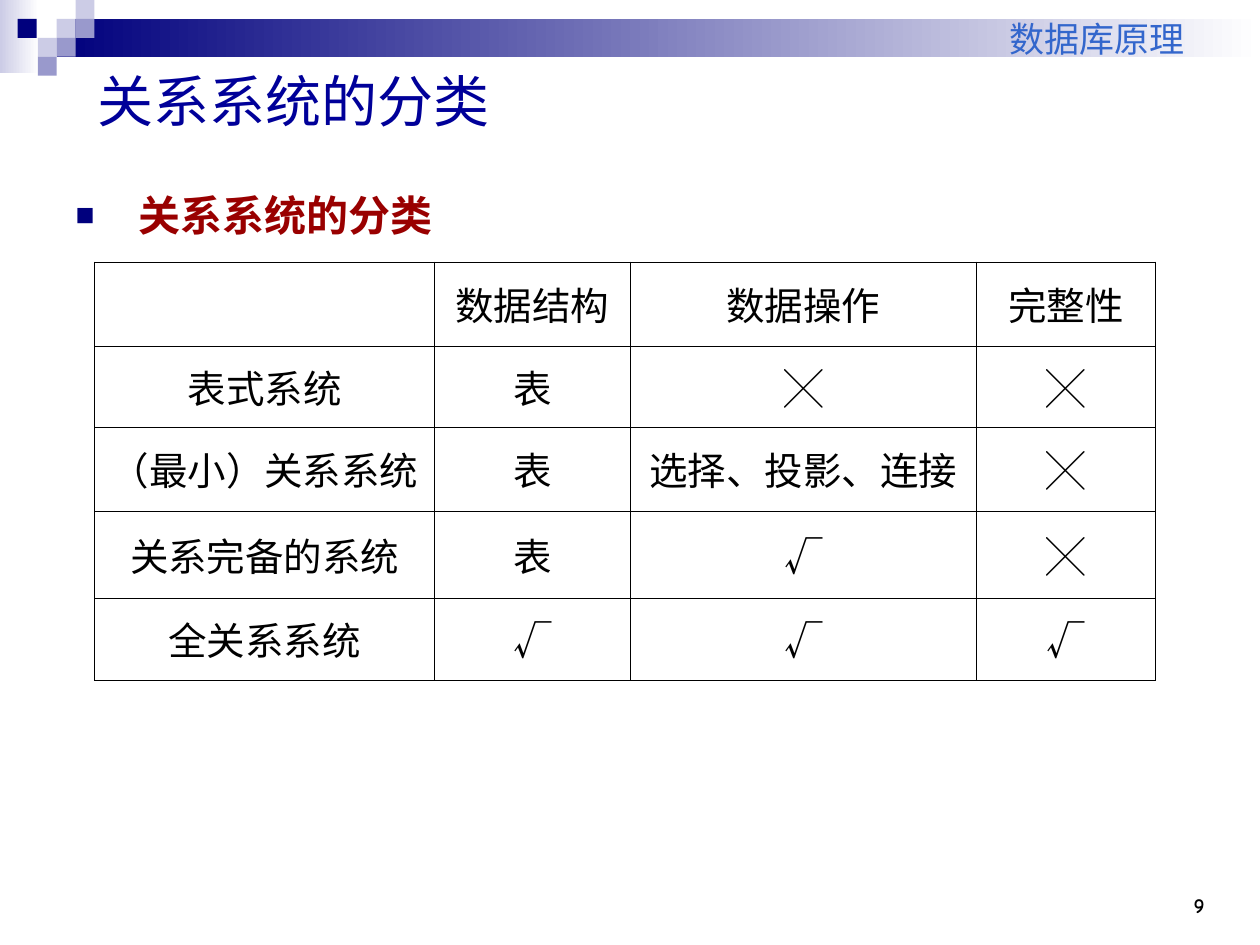
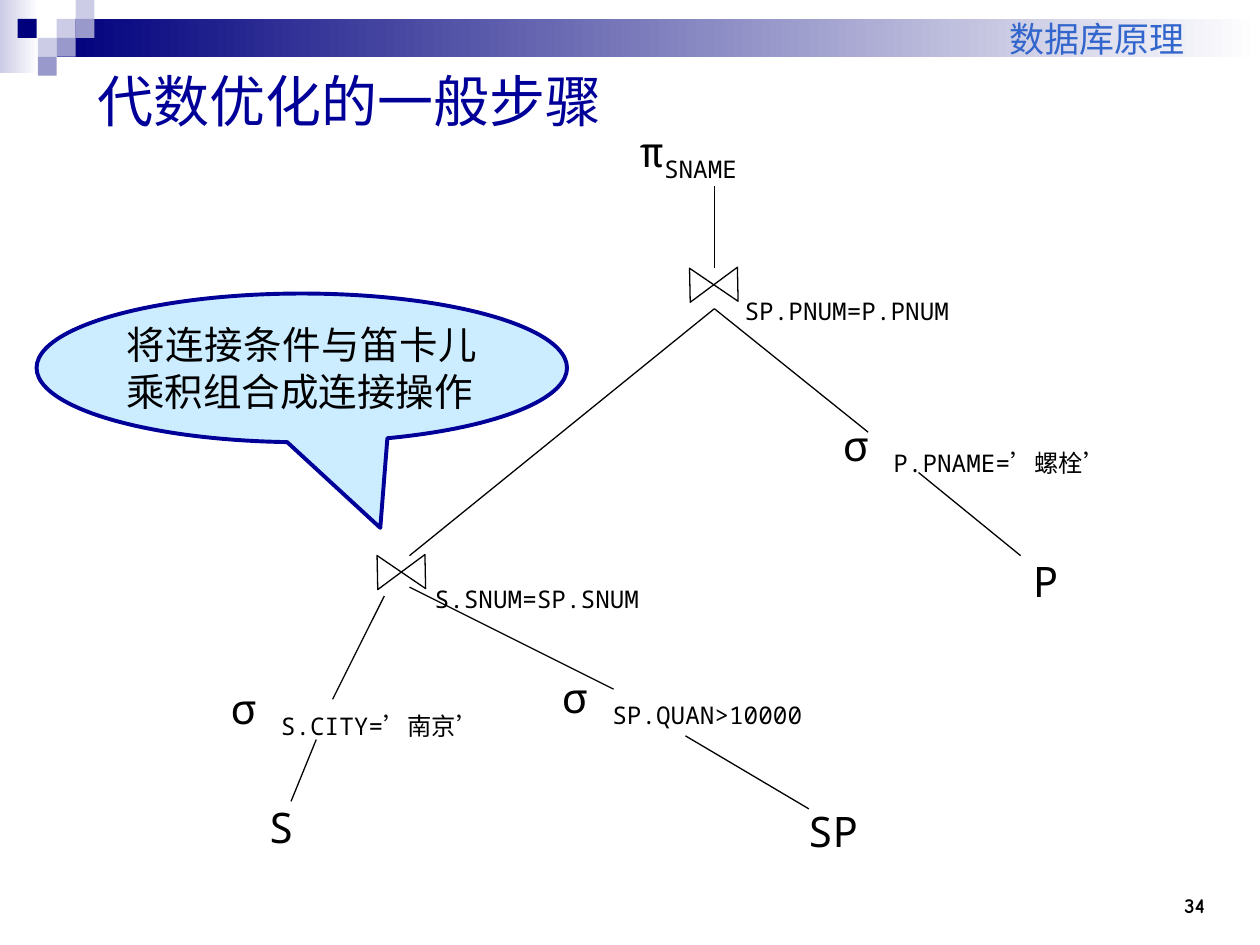
import dataclasses

import lxml.etree
import pptx
import pptx.dml.color
import pptx.enum.shapes
import pptx.enum.text
import pptx.oxml.ns
import pptx.util

Inches = pptx.util.Inches
Pt = pptx.util.Pt
qn = pptx.oxml.ns.qn
Align = pptx.enum.text.PP_ALIGN
Anchor = pptx.enum.text.MSO_ANCHOR
Preset = pptx.enum.shapes.MSO_SHAPE

# Shared colours and fonts
BLACK, WHITE = "000000", "FFFFFF"
NAVY, LILAC, VIOLET = "00007D", "CCCCE6", "9999CC"
TITLE_BLUE, COURSE_BLUE, HEADING_RED, CALLOUT_BLUE = "000099", "3366CC", "990000", "CCECFF"
DECK_FONT, CJK_FONT, ALGEBRA_FONT, CALLOUT_FONT = (
    "Comic Neue", "Noto Sans CJK SC", "Noto Sans Mono", "Times New Roman")


@dataclasses.dataclass(frozen=True)
class Box:
    left: float
    top: float
    width: float
    height: float

    def lengths(self) -> list:
        return [Inches(n) for n in dataclasses.astuple(self)]


@dataclasses.dataclass(frozen=True)
class Pixel:
    left: float
    top: float
    color: str


@dataclasses.dataclass(frozen=True)
class Label:
    """An algebra node: an operator or relation followed by a subscript."""
    box: Box
    symbol: str
    subscript: str = ""
    align: Align = Align.JUSTIFY


@dataclasses.dataclass(frozen=True)
class Edge:
    x1: float
    y1: float
    x2: float
    y2: float


PIXELS = [
    Pixel(0.45, 0.15, LILAC), Pixel(0.6, 0, LILAC), Pixel(0.6, 0.15, VIOLET),
    Pixel(0.3, 0.3, LILAC), Pixel(0.14, 0.15, NAVY), Pixel(0.45, 0.3, VIOLET),
    Pixel(0.3, 0.45, VIOLET),
]


# Formatting helpers
def rgb(color: str) -> pptx.dml.color.RGBColor:
    return pptx.dml.color.RGBColor.from_string(color)


def add_run(paragraph, text: str, *, size: float, font: str = DECK_FONT,
            color: str = BLACK, bold: bool = False, baseline: int = 0) -> None:
    run = paragraph.add_run()
    run.text = text
    run.font.size = Pt(size)
    run.font.bold = bold
    run.font.color.rgb = rgb(color)
    run.font.name = font
    properties = run._r.get_or_add_rPr()
    lxml.etree.SubElement(properties, qn("a:ea"), typeface=CJK_FONT)
    if baseline:
        properties.set("baseline", str(baseline * 1000))


def set_frame(frame, *, anchor: Anchor = Anchor.TOP, sides: float = 0.1,
              ends: float = 0.05) -> None:
    frame.word_wrap = True
    frame.auto_size = pptx.enum.text.MSO_AUTO_SIZE.NONE
    frame.vertical_anchor = anchor
    frame.margin_left = frame.margin_right = Inches(sides)
    frame.margin_top = frame.margin_bottom = Inches(ends)


def place(shape, box: Box) -> None:
    shape.left, shape.top, shape.width, shape.height = box.lengths()


def add_filled(slide, preset: Preset, box: Box, *colors: str,
               line: str = "", weight: float = 0.75):
    """Draw a preset shape; two colours make a left-to-right gradient."""
    shape = slide.shapes.add_shape(preset, *box.lengths())
    shape.shadow.inherit = False
    if len(colors) > 1:
        shape.fill.gradient()
        shape.fill.gradient_angle = 0
        for stop, color in zip(shape.fill.gradient_stops, colors):
            stop.color.rgb = rgb(color)
    else:
        shape.fill.solid()
        shape.fill.fore_color.rgb = rgb(colors[0])
    if line:
        shape.line.color.rgb = rgb(line)
        shape.line.width = Pt(weight)
    else:
        shape.line.fill.background()
    return shape


# What every slide shares
def start_slide(deck, layout: int, title: str, number: int):
    slide = deck.slides.add_slide(deck.slide_layouts[layout])
    add_filled(slide, Preset.RECTANGLE, Box(0, 0, 0.31, 0.58), LILAC, WHITE)
    add_filled(slide, Preset.RECTANGLE, Box(0.45, 0.15, 9.55, 0.3), NAVY, WHITE)
    for pixel in PIXELS:
        add_filled(slide, Preset.RECTANGLE,
                   Box(pixel.left, pixel.top, 0.15, 0.15), pixel.color)

    page = slide.shapes.add_textbox(*Box(8.83, 6.83, 0.83, 0.5).lengths())
    course = slide.shapes.add_textbox(*Box(3.83, 0, 5.92, 0.52).lengths())
    for note in (page, course):
        set_frame(note.text_frame, anchor=Anchor.BOTTOM)
        note.text_frame.paragraphs[0].alignment = Align.RIGHT
    course.text_frame.margin_right = Inches(0.35)
    add_run(page.text_frame.paragraphs[0], str(number), size=12, bold=True)
    add_run(course.text_frame.paragraphs[0], "数据库原理", size=20, color=COURSE_BLUE)

    heading = slide.shapes.title
    place(heading, Box(0.67, 0.42, 9, 0.75))
    set_frame(heading.text_frame, anchor=Anchor.MIDDLE)
    heading.text_frame.paragraphs[0].alignment = Align.LEFT
    add_run(heading.text_frame.paragraphs[0], title, size=32, color=TITLE_BLUE)
    return slide


# Slide with the classification table
def add_bullet(paragraph, char: str, color: str, percent: int, indent: float) -> None:
    properties = paragraph._p.get_or_add_pPr()
    properties.set("marL", str(Inches(indent)))
    properties.set("indent", str(-Inches(indent)))
    bullet_color = lxml.etree.SubElement(properties, qn("a:buClr"))
    lxml.etree.SubElement(bullet_color, qn("a:srgbClr"), val=color)
    lxml.etree.SubElement(properties, qn("a:buSzPct"), val=str(percent * 1000))
    lxml.etree.SubElement(properties, qn("a:buChar"), char=char)


def set_borders(cell, color: str, weight: float) -> None:
    properties = cell._tc.get_or_add_tcPr()
    for side in ("a:lnL", "a:lnR", "a:lnT", "a:lnB"):
        border = lxml.etree.SubElement(properties, qn(side), w=str(Pt(weight)))
        fill = lxml.etree.SubElement(border, qn("a:solidFill"))
        lxml.etree.SubElement(fill, qn("a:srgbClr"), val=color)


def add_classification(slide) -> None:
    rows = [
        ["", "数据结构", "数据操作", "完整性"],
        ["表式系统", "表", "╳", "╳"],
        ["（最小）关系系统", "表", "选择、投影、连接", "╳"],
        ["关系完备的系统", "表", "√", "╳"],
        ["全关系系统", "√", "√", "√"],
    ]
    widths = [2.7, 1.55, 2.75, 1.42]
    heights = [0.67, 0.64, 0.67, 0.69, 0.65]
    box = Box(0.75, 2.08, sum(widths), sum(heights))
    table = slide.shapes.add_table(len(rows), len(widths), *box.lengths()).table
    table.first_row = table.horz_banding = False
    for column, width in zip(table.columns, widths):
        column.width = Inches(width)
    for row, height, texts in zip(table.rows, heights, rows):
        row.height = Inches(height)
        for cell, text in zip(row.cells, texts):
            set_borders(cell, BLACK, 0.45)
            cell.fill.background()
            cell.vertical_anchor = Anchor.MIDDLE
            paragraph = cell.text_frame.paragraphs[0]
            paragraph.alignment = Align.CENTER
            if text:
                add_run(paragraph, text, size=22, font=CJK_FONT)


def build_classification_slide(deck) -> None:
    slide = start_slide(deck, 1, "关系系统的分类", 9)
    body = slide.placeholders[1]
    place(body, Box(0.5, 1.17, 9.17, 5.83))
    set_frame(body.text_frame)
    body.text_frame.margin_top = Inches(0.13)
    topic = body.text_frame.paragraphs[0]
    add_bullet(topic, "■", NAVY, 75, 0.5)
    topic.line_spacing = 1.5
    topic.space_before = Pt(0)
    add_run(topic, "关系系统的分类", size=24, color=HEADING_RED, bold=True)
    add_classification(slide)


# Slide with the query tree
def add_label(slide, label: Label) -> None:
    frame = slide.shapes.add_textbox(*label.box.lengths()).text_frame
    set_frame(frame, sides=0, ends=0)
    paragraph = frame.paragraphs[0]
    paragraph.alignment = label.align
    for text, baseline in ((label.symbol, 0), (label.subscript, -25)):
        if text:
            add_run(paragraph, text, size=24, font=ALGEBRA_FONT, baseline=baseline)


def add_edge(slide, edge: Edge) -> None:
    ends = [Inches(n) for n in dataclasses.astuple(edge)]
    line = slide.shapes.add_connector(pptx.enum.shapes.MSO_CONNECTOR.STRAIGHT, *ends)
    line.line.color.rgb = rgb(BLACK)
    line.line.width = Pt(0.75)
    lxml.etree.SubElement(line._element.spPr, qn("a:effectLst"))


def add_join(slide, left: float, top: float) -> None:
    join = add_filled(slide, Preset.FLOWCHART_COLLATE,
                      Box(left, top, 0.27, 0.38), WHITE, line=BLACK)
    join.rotation = 268.8


def build_query_tree_slide(deck) -> None:
    slide = start_slide(deck, 5, "代数优化的一般步骤", 34)
    labels = [
        Label(Box(5.07, 1, 1.42, 0.33), "π", "SNAME"),
        Label(Box(5.91, 2.13, 2.42, 0.32), "", "SP.PNUM=P.PNUM"),
        Label(Box(6.69, 3.33, 2.42, 0.32), "σ ", "P.PNAME=’螺栓’"),
        Label(Box(3.45, 4.41, 2.42, 0.32), "", "S.SNUM=SP.SNUM"),
        Label(Box(1.83, 5.42, 2.42, 0.33), "σ ", "S.CITY=’南京’"),
        Label(Box(4.46, 5.33, 2.42, 0.33), "σ ", "SP.QUAN>10000"),
        Label(Box(2.03, 6.36, 0.4, 0.33), "S", align=Align.CENTER),
        Label(Box(6.41, 6.39, 0.67, 0.33), "SP"),
        Label(Box(8.1, 4.41, 0.4, 0.32), "P", align=Align.CENTER),
    ]
    edges = [
        Edge(5.67, 1.48, 5.67, 2.13), Edge(5.67, 2.45, 6.89, 3.43),
        Edge(5.67, 2.45, 3.25, 4.41), Edge(7.29, 3.75, 8.1, 4.41),
        Edge(3.05, 4.73, 2.64, 5.55), Edge(3.25, 4.66, 4.87, 5.47),
        Edge(5.44, 5.84, 6.42, 6.42), Edge(2.51, 5.87, 2.31, 6.36),
    ]
    for label in labels:
        add_label(slide, label)
    for edge in edges:
        add_edge(slide, edge)
    add_join(slide, 5.53, 2.07)
    add_join(slide, 3.05, 4.35)

    callout = add_filled(slide, Preset.OVAL_CALLOUT, Box(0.29, 2.33, 4.21, 1.18),
                         CALLOUT_BLUE, line=TITLE_BLUE, weight=2.25)
    callout.adjustments[0], callout.adjustments[1] = 0.148, 1.076
    set_frame(callout.text_frame)
    advice = callout.text_frame.paragraphs[0]
    advice.alignment = Align.JUSTIFY
    add_run(advice, "将连接条件与笛卡儿乘积组合成连接操作", size=22, font=CALLOUT_FONT)


def main() -> None:
    deck = pptx.Presentation()
    deck.slide_width, deck.slide_height = Inches(10), Inches(7.5)
    build_classification_slide(deck)
    build_query_tree_slide(deck)
    deck.save("out.pptx")


if __name__ == "__main__":
    main()
